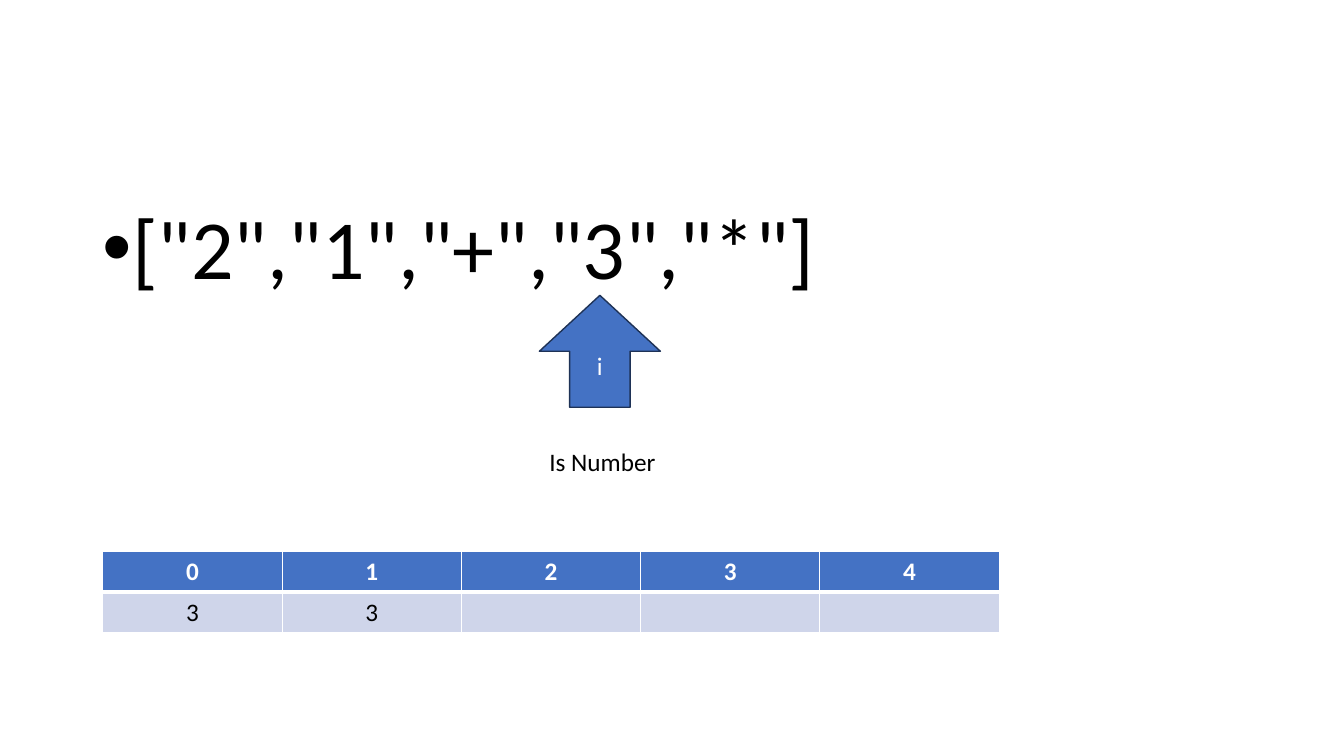
from lxml.etree import SubElement
from pptx import Presentation
from pptx.dml.color import RGBColor
from pptx.enum.shapes import MSO_SHAPE
from pptx.enum.text import MSO_ANCHOR, PP_ALIGN
from pptx.oxml import parse_xml
from pptx.oxml.ns import nsdecls, qn
from pptx.util import Inches, Pt


def color(value):
    return RGBColor.from_string(value)


class StackSlide:
    font_name = "Calibri"
    black = "000000"
    white = "FFFFFF"
    blue = "4472C4"
    outline = "1E3256"
    pale = "CFD5EA"

    def __init__(self, presentation):
        self.slide = presentation.slides.add_slide(presentation.slide_layouts[6])

    def set_text(self, paragraph, text, ink, size=18, bold=False, align=None):
        paragraph.text = text
        paragraph.alignment = align
        font = paragraph.font
        font.name = self.font_name
        font.size = Pt(size)
        font.bold = bold
        font.color.rgb = color(ink)

    def label(self, box, text, size=18, bullet=False):
        frame = self.slide.shapes.add_textbox(*map(Inches, box)).text_frame
        frame.word_wrap = True
        paragraph = frame.paragraphs[0]
        if bullet:
            paragraph.line_spacing = 0.9
            properties = paragraph._p.get_or_add_pPr()
            properties.set("marL", str(Inches(0.25)))
            properties.set("indent", str(-Inches(0.25)))
            SubElement(properties, qn("a:buFont")).set("typeface", "Arial")
            SubElement(properties, qn("a:buChar")).set("char", "•")
        self.set_text(paragraph, text, self.black, size)

    def pointer(self, box, text):
        arrow = self.slide.shapes.add_shape(MSO_SHAPE.UP_ARROW, *map(Inches, box))
        arrow.shadow.inherit = False
        arrow.fill.solid()
        arrow.fill.fore_color.rgb = color(self.blue)
        arrow.line.color.rgb = color(self.outline)
        arrow.line.width = Pt(1)
        arrow.text_frame.vertical_anchor = MSO_ANCHOR.MIDDLE
        self.set_text(arrow.text_frame.paragraphs[0], text, self.white,
                      align=PP_ALIGN.CENTER)

    def borders(self, cell, widths):
        properties = cell._tc.get_or_add_tcPr()
        for position, (side, width) in enumerate(widths.items()):
            properties.insert(position, parse_xml(
                f'<a:ln{side} {nsdecls("a")} w="{Pt(width)}"><a:solidFill>'
                f'<a:srgbClr val="{self.white}"/></a:solidFill></a:ln{side}>'))

    def stack(self, box, rows):
        table = self.slide.shapes.add_table(
            len(rows), len(rows[0]), *map(Inches, box)).table
        for row_index, values in enumerate(rows):
            header = row_index == 0
            widths = {"L": 1, "R": 1, "T": 1 if header else 3, "B": 3 if header else 1}
            for column_index, value in enumerate(values):
                cell = table.cell(row_index, column_index)
                cell.fill.solid()
                cell.fill.fore_color.rgb = color(self.blue if header else self.pale)
                self.borders(cell, widths)
                self.set_text(cell.text_frame.paragraphs[0], value,
                              self.white if header else self.black,
                              bold=header, align=PP_ALIGN.CENTER)


def main():
    presentation = Presentation()
    presentation.slide_width = Inches(13.33)
    presentation.slide_height = Inches(7.5)
    page = StackSlide(presentation)
    page.label((0.92, 2, 8.14, 1.36), '["2","1","+","3","*"]', size=60, bullet=True)
    page.pointer((5.35, 2.93, 1.2, 1.11), "i")
    page.stack((1.02, 5.47, 8.89, 0.81),
               [["0", "1", "2", "3", "4"], ["3", "3", "", "", ""]])
    page.label((5.35, 4.38, 1.52, 0.4), "Is Number")
    presentation.save("out.pptx")


if __name__ == "__main__":
    main()
